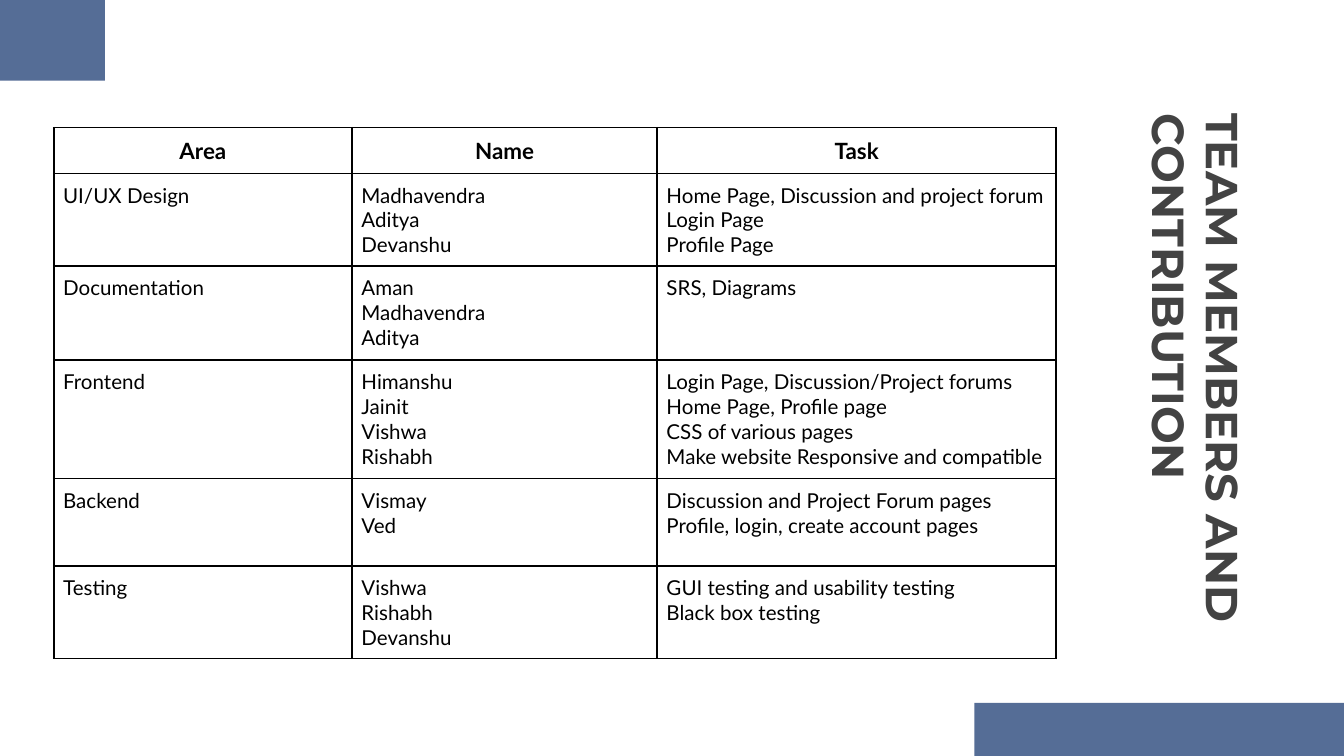
import pptx
import pptx.util
import pptx.dml.color
import pptx.enum.shapes
import pptx.enum.text
import pptx.oxml
import pptx.oxml.ns

Inches = pptx.util.Inches
Pt = pptx.util.Pt
RGBColor = pptx.dml.color.RGBColor
ALIGN = pptx.enum.text.PP_ALIGN
ANCHOR = pptx.enum.text.MSO_ANCHOR

BLUE = RGBColor(0x55, 0x6D, 0x96)
GRAY = RGBColor(0x43, 0x43, 0x43)
BLACK = RGBColor(0x00, 0x00, 0x00)

TITLE_FORMAT = {"name": "Montserrat", "size": Pt(24), "bold": True}
HEADER_FORMAT = {"name": "Lato", "size": Pt(12), "bold": True}
BODY_FORMAT = {"name": "Lato", "size": Pt(11), "bold": False}
MARGINS = ("margin_left", "margin_top", "margin_right", "margin_bottom")


def write_text(frame, text, font_format, color, align):
    frame.text = text
    for paragraph in frame.paragraphs:
        paragraph.alignment = align
        font = paragraph.runs[0].font
        for name, value in font_format.items():
            setattr(font, name, value)
        font.color.rgb = color


def add_borders(cell):
    properties = cell._tc.get_or_add_tcPr()
    for side in ("lnL", "lnR", "lnT", "lnB"):
        properties.append(pptx.oxml.parse_xml(
            f'<a:{side} {pptx.oxml.ns.nsdecls("a")} w="{Pt(1)}">'
            f'<a:solidFill><a:srgbClr val="{BLACK}"/></a:solidFill></a:{side}>'
        ))


# Widescreen 16:9 slide
presentation = pptx.Presentation()
presentation.slide_width = Inches(10)
presentation.slide_height = Inches(10 * 9 / 16)
slide = presentation.slides.add_slide(presentation.slide_layouts[6])

# Vertical title
title = slide.shapes.add_textbox(Inches(6.77), Inches(2.34), Inches(4.23), Inches(1.04))
title.rotation = 90
title.text_frame.word_wrap = True
title.text_frame.vertical_anchor = ANCHOR.TOP
for margin in MARGINS:
    setattr(title.text_frame, margin, Inches(0.1))
write_text(title.text_frame, "TEAM MEMBERS AND CONTRIBUTION", TITLE_FORMAT, GRAY, ALIGN.LEFT)

# Corner blocks
for left, top, width, height in ((0, 0, 0.78, 0.6), (7.25, 5.23, 2.75, 0.4)):
    block = slide.shapes.add_shape(
        pptx.enum.shapes.MSO_SHAPE.RECTANGLE,
        Inches(left), Inches(top), Inches(width), Inches(height))
    block.shadow.inherit = False
    block.fill.solid()
    block.fill.fore_color.rgb = BLUE
    block.line.fill.background()

# Contributions: one list of lines per cell
contributions = [
    (["Area"], ["Name"], ["Task"]),
    (["UI/UX Design"],
     ["Madhavendra", "Aditya", "Devanshu"],
     ["Home Page, Discussion and project forum", "Login Page", "Profile Page"]),
    (["Documentation"],
     ["Aman", "Madhavendra", "Aditya"],
     ["SRS, Diagrams"]),
    (["Frontend"],
     ["Himanshu", "Jainit", "Vishwa", "Rishabh"],
     ["Login Page, Discussion/Project forums", "Home Page, Profile page",
      "CSS of various pages", "Make website Responsive and compatible"]),
    (["Backend"],
     ["Vismay", "Ved"],
     ["Discussion and Project Forum pages", "Profile, login, create account pages"]),
    (["Testing"],
     ["Vishwa", "Rishabh", "Devanshu"],
     ["GUI testing and usability testing", "Black box testing"]),
]
column_widths = [2.22, 2.27, 2.97]
row_heights = [0.34, 0.69, 0.7, 0.88, 0.65, 0.69]

# Contribution table
table = slide.shapes.add_table(
    len(row_heights), len(column_widths), Inches(0.4), Inches(0.95),
    Inches(sum(column_widths)), Inches(sum(row_heights))).table
table.horz_banding = False
for column, width in zip(table.columns, column_widths):
    column.width = Inches(width)
for row, height in zip(table.rows, row_heights):
    row.height = Inches(height)

for row_index, contribution in enumerate(contributions):
    is_header = row_index == 0
    for column_index, lines in enumerate(contribution):
        cell = table.cell(row_index, column_index)
        for margin in MARGINS:
            setattr(cell, margin, Inches(0.07))
        add_borders(cell)
        cell.fill.background()
        write_text(cell.text_frame, "\n".join(lines),
                   HEADER_FORMAT if is_header else BODY_FORMAT, BLACK,
                   ALIGN.CENTER if is_header else ALIGN.LEFT)

presentation.save("out.pptx")
